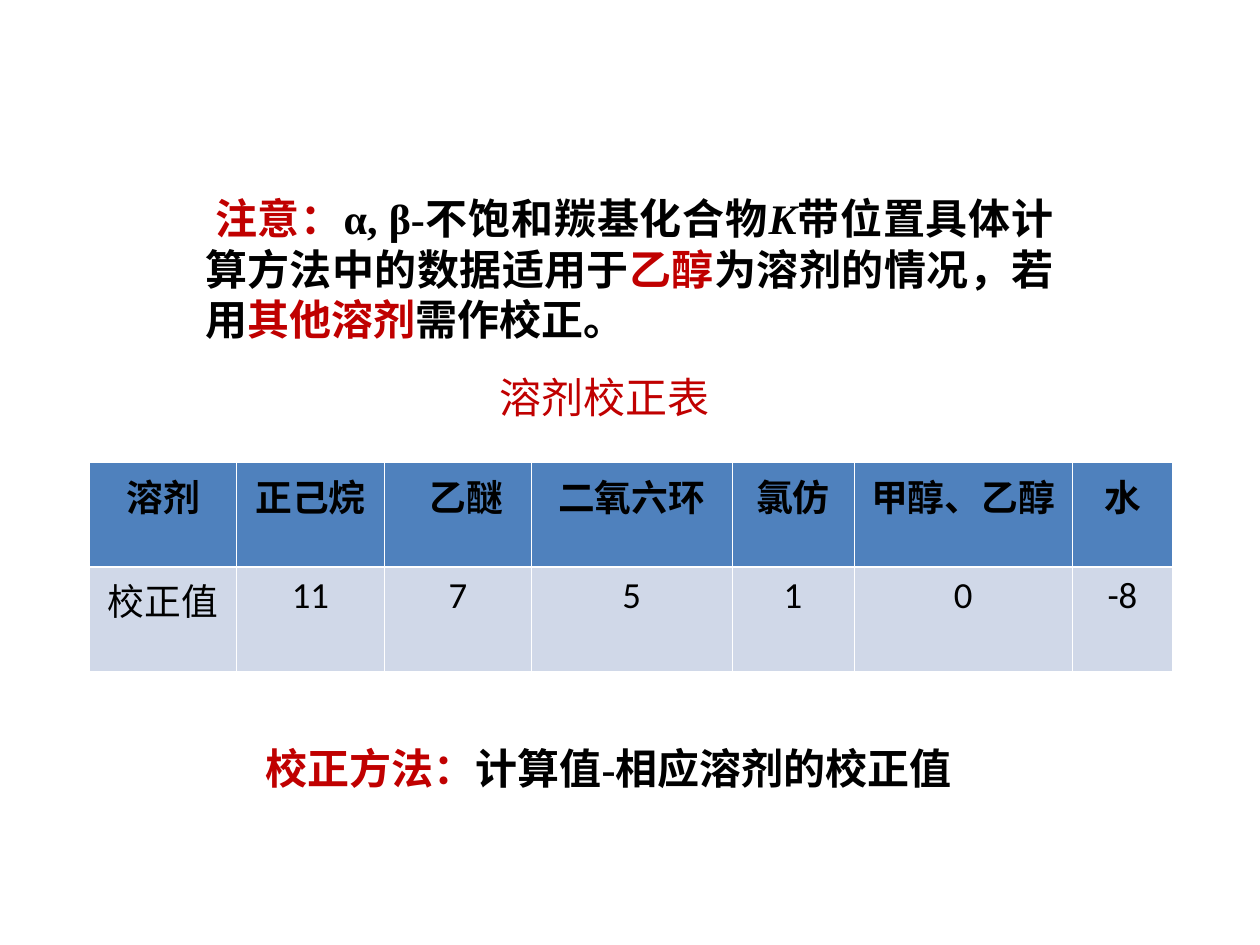
from dataclasses import dataclass
from typing import Any

from lxml.etree import SubElement
from pptx import Presentation
from pptx.dml.color import RGBColor
from pptx.enum.text import MSO_ANCHOR as Anchor, PP_ALIGN as Align
from pptx.oxml.ns import qn
from pptx.util import Inches, Pt

WIDTH, HEIGHT = 10, 7.5
BLACK, RED, WHITE = "000000", "C00000", "FFFFFF"
HEADER_FILL, VALUE_FILL = "4F81BD", "D0D8E8"
CJK, SERIF, SANS = "Noto Sans CJK SC", "Times New Roman", "Calibri"


def color(code):
    """Turn a hex string into a colour."""
    return RGBColor.from_string(code)


@dataclass
class SlideWriter:
    """Hold the style and the current slide; lengths are shares of the slide."""

    slide: Any
    size: float = 24
    cell_size: float = 21
    line_pitch: float = 28.8

    def style(self, run, size, face, code=BLACK, bold=False, italic=False):
        """Format one run in both its Latin and East Asian faces."""
        font = run.font
        font.size, font.name, font.bold, font.italic = Pt(size), face, bold, italic
        font.color.rgb = color(code)
        SubElement(run._r.get_or_add_rPr(), qn("a:ea"), typeface=CJK)

    def text(self, box, runs, align=Align.LEFT, face=SERIF, bold=True,
             anchor=Anchor.TOP, pitch=None, top_inset=0.05, indent=0):
        """Add a text box with one paragraph of (text, colour, italic) runs."""
        left, top, width, height = box
        frame = self.slide.shapes.add_textbox(
            Inches(left * WIDTH), Inches(top * HEIGHT),
            Inches(width * WIDTH), Inches(height * HEIGHT)).text_frame
        frame.word_wrap, frame.vertical_anchor = True, anchor
        frame.margin_top = Inches(top_inset)
        paragraph = frame.paragraphs[0]
        paragraph.alignment = align
        if pitch:
            paragraph.line_spacing = Pt(pitch)
        if indent:
            paragraph._p.get_or_add_pPr().set("indent", str(Inches(indent)))
        for words, code, italic in runs:
            run = paragraph.add_run()
            run.text = words
            self.style(run, self.size, face, code, bold, italic)

    def border(self, cell, sides):
        """Draw white borders of the given widths on a cell."""
        properties = cell._tc.get_or_add_tcPr()
        for place, (side, points) in enumerate(sides.items()):
            line = SubElement(properties, qn(f"a:ln{side}"), w=str(Pt(points)))
            fill = SubElement(line, qn("a:solidFill"))
            SubElement(fill, qn("a:srgbClr"), val=WHITE)
            properties.insert(place, line)

    def table(self, left, top, columns, row_height, rows):
        """Add a table with a bold header row and a value row."""
        grid = self.slide.shapes.add_table(
            len(rows), len(columns), Inches(left * WIDTH), Inches(top * HEIGHT),
            Inches(sum(columns) * WIDTH),
            Inches(row_height * len(rows) * HEIGHT)).table
        for column, share in zip(grid.columns, columns):
            column.width = Inches(share * WIDTH)
        for r, row in enumerate(rows):
            grid.rows[r].height = Inches(row_height * HEIGHT)
            header = r == 0
            for c, words in enumerate(row):
                cell = grid.cell(r, c)
                cell.text_frame.text = words
                cell.fill.solid()
                cell.fill.fore_color.rgb = color(HEADER_FILL if header else VALUE_FILL)
                paragraph = cell.text_frame.paragraphs[0]
                paragraph.alignment = Align.CENTER
                self.style(paragraph.runs[0], self.cell_size, SANS, bold=header)
                self.border(cell, {"L": 0.45, "R": 0.45,
                                   "T": 0.45 if header else 1.47,
                                   "B": 1.47 if header else 0.45})
        return grid


def main():
    """Build the solvent correction slide."""
    deck = Presentation()
    deck.slide_width, deck.slide_height = Inches(WIDTH), Inches(HEIGHT)
    writer = SlideWriter(deck.slides.add_slide(deck.slide_layouts[6]))

    writer.text((0.38, 2.71 / HEIGHT, 0.2, 0.88 / HEIGHT),
                [("溶剂校正表", RED, False)], Align.CENTER, CJK,
                bold=False, anchor=Anchor.MIDDLE)

    corrections = {"溶剂": "校正值", "正己烷": "11", "乙醚": "7", "二氧六环": "5",
                   "氯仿": "1", "甲醇、乙醇": "0", "水": "-8"}
    columns = [share / WIDTH for share in (1.17, 1.17, 1.17, 1.59, 0.97, 1.73, 0.8)]
    grid = writer.table(0.71 / WIDTH, 3.67 / HEIGHT, columns, 0.83 / HEIGHT,
                        [list(corrections), list(corrections.values())])
    grid.cell(0, 2).margin_left = Inches(0.23)

    writer.text((1.53 / WIDTH, 1.44 / HEIGHT, 6.93 / WIDTH, 1.3 / HEIGHT), [
        ("注意：", RED, False),
        ("α, β-不饱和羰基化合物", BLACK, False),
        ("K", BLACK, True),
        ("带位置具体计算方法中的数据适用于", BLACK, False),
        ("乙醇", RED, False),
        ("为溶剂的情况，若用", BLACK, False),
        ("其他溶剂", RED, False),
        ("需作校正。", BLACK, False),
    ], Align.JUSTIFY, pitch=writer.line_pitch, top_inset=0.09, indent=0.08)

    writer.text((2.01 / WIDTH, 5.8 / HEIGHT, 0.63, 0.5 / HEIGHT), [
        ("校正方法：", RED, False),
        ("计算值-相应溶剂的校正值", BLACK, False),
    ], pitch=writer.line_pitch, top_inset=0.09)

    deck.save("out.pptx")


if __name__ == "__main__":
    main()
